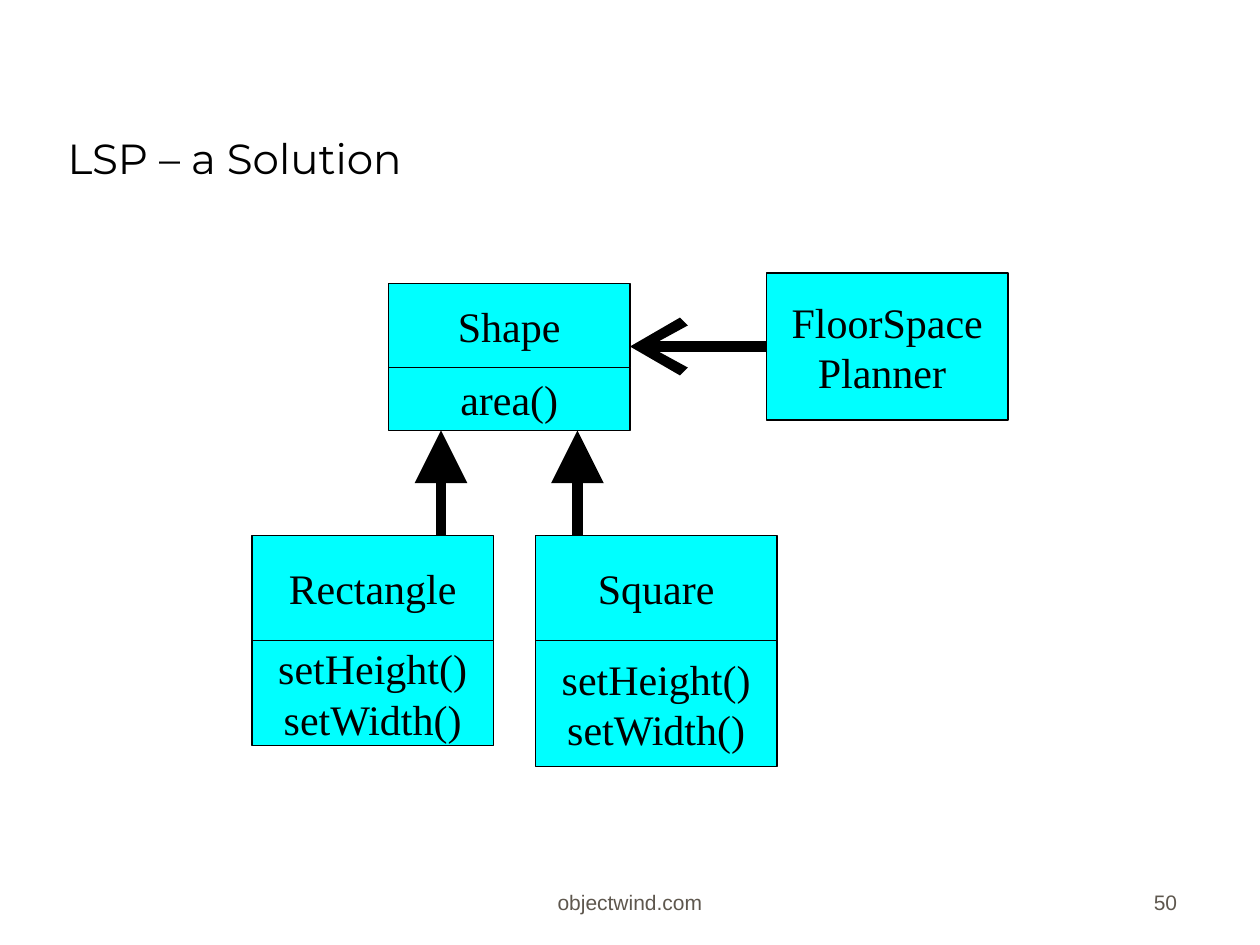
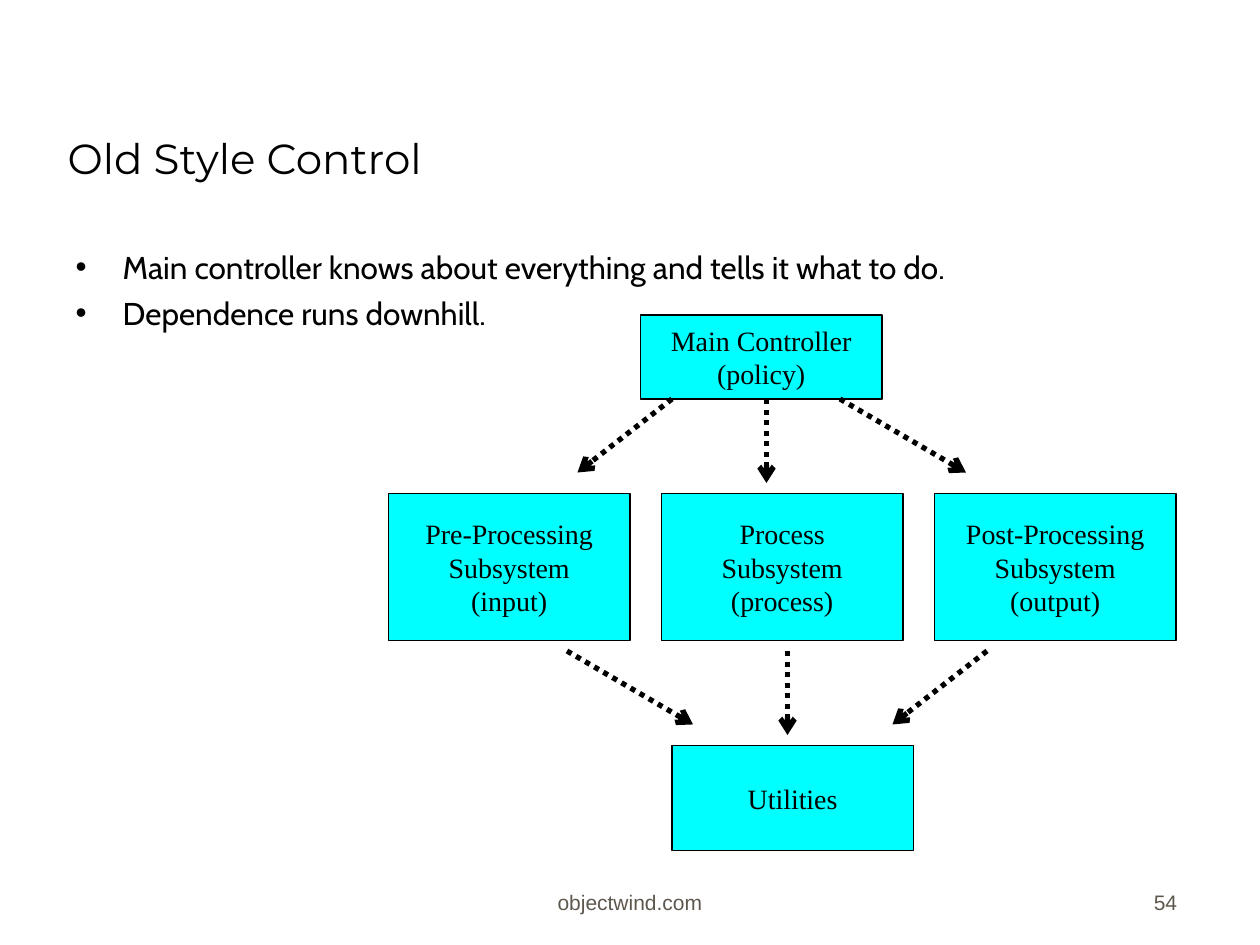
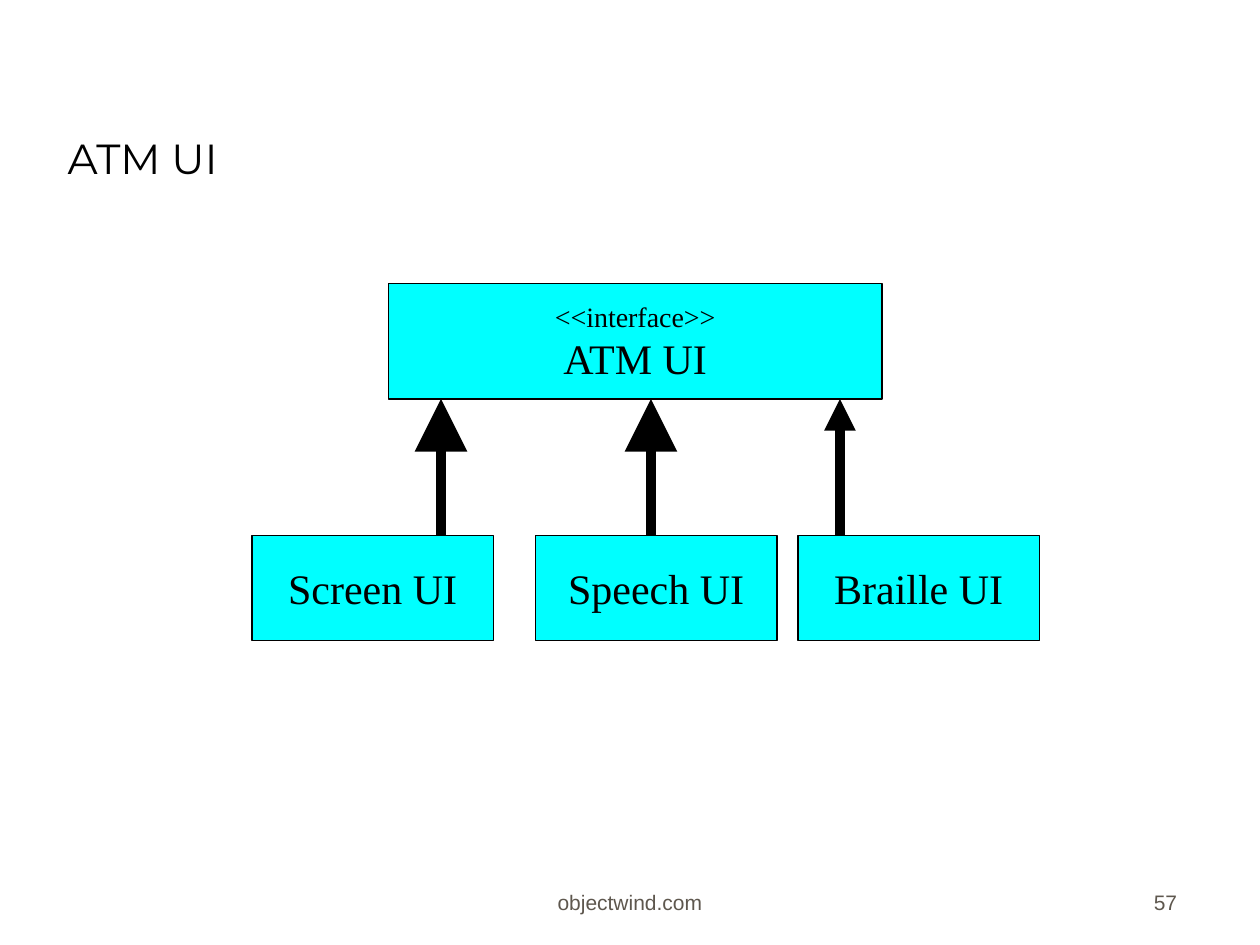
import pptx
import pptx.util
import pptx.dml.color
import pptx.enum.dml
import pptx.enum.shapes
import pptx.enum.text
import pptx.oxml
import pptx.oxml.ns
from lxml import etree

Cm, Pt = pptx.util.Cm, pptx.util.Pt
PP_ALIGN = pptx.enum.text.PP_ALIGN
ANCHOR = pptx.enum.text.MSO_ANCHOR
qn = pptx.oxml.ns.qn

BLACK, CYAN, FOOTER_GREY = "000000", "00FFFF", "5E574E"
TITLE_FONT, BODY_FONT, BOX_FONT, FOOTER_FONT = "Montserrat", "Cabin", "Times New Roman", "Arial"
BOX_WIDTH = 23


def grid(n):
    """Length of n diagram units, twelve to the inch."""
    return Cm(n * 2.54 / 12)


def rgb(hex_color):
    return pptx.dml.color.RGBColor.from_string(hex_color)


def format_paragraph(p, font, size, color=BLACK, align=PP_ALIGN.LEFT):
    p.alignment = align
    for r in p.runs:
        r.font.name = font
        r.font.size = Pt(size)
        r.font.color.rgb = rgb(color)


def place(shape, left, top, width, height):
    shape.left, shape.top, shape.width, shape.height = left, top, width, height


def add_title(s, text):
    title = s.shapes.title
    place(title, Cm(1.11), Cm(0.64), Cm(21.59), Cm(3.18))
    tf = title.text_frame
    tf.text = text
    tf.auto_size = pptx.enum.text.MSO_AUTO_SIZE.NONE
    tf.vertical_anchor = ANCHOR.BOTTOM
    format_paragraph(tf.paragraphs[0], TITLE_FONT, 24)


def add_bullets(s, items):
    body = s.placeholders[1]
    place(body, Cm(1.27), Cm(4.87), Cm(22.7), Cm(3.68))
    tf = body.text_frame
    tf.text = "\n".join(items)
    tf.auto_size = pptx.enum.text.MSO_AUTO_SIZE.NONE
    for i, p in enumerate(tf.paragraphs):
        pPr = p._p.get_or_add_pPr()
        pPr.set("marL", str(Cm(0.95)))
        pPr.set("indent", str(-Cm(0.95)))
        color = etree.SubElement(pPr, qn("a:buClr"))
        etree.SubElement(color, qn("a:srgbClr"), val=BLACK)
        etree.SubElement(pPr, qn("a:buFont"), typeface="Arial")
        etree.SubElement(pPr, qn("a:buChar"), char="•")
        p.space_before = Pt(4.5 if i else 0)
        format_paragraph(p, BODY_FONT, 18)


def add_footer(s, number, top=Cm(17.3)):
    for text, left, width, align in (
        ("objectwind.com", Cm(8.68), Cm(8.04), PP_ALIGN.CENTER),
        (str(number), Cm(18.69), Cm(5.29), PP_ALIGN.RIGHT),
    ):
        tf = s.shapes.add_textbox(left, top, width, Cm(1.27)).text_frame
        tf.word_wrap = True
        tf.vertical_anchor = ANCHOR.BOTTOM
        tf.text = text
        format_paragraph(tf.paragraphs[0], FOOTER_FONT, 12, FOOTER_GREY, align)


def add_slide(prs, title, number, layout=5):
    s = prs.slides.add_slide(prs.slide_layouts[layout])
    add_title(s, title)
    add_footer(s, number)
    return s


def add_box(s, x, y, height, lines, size=24, width=BOX_WIDTH):
    box = s.shapes.add_shape(pptx.enum.shapes.MSO_SHAPE.RECTANGLE,
                             grid(x), grid(y), grid(width), grid(height))
    box.shadow.inherit = False
    box.fill.solid()
    box.fill.fore_color.rgb = rgb(CYAN)
    box.line.color.rgb = rgb(BLACK)
    box.line.width = Pt(0.75)
    tf = box.text_frame
    tf.word_wrap = False
    tf.vertical_anchor = ANCHOR.MIDDLE
    tf.text = "\n".join(lines)
    for p in tf.paragraphs:
        format_paragraph(p, BOX_FONT, size, align=PP_ALIGN.CENTER)
    return box


def add_class(s, x, y, name, name_height, methods, methods_height):
    """UML class: a name box with a methods box below it."""
    add_box(s, x, y, name_height, [name])
    add_box(s, x, y + name_height, methods_height, methods)


def add_arrow(s, x1, y1, x2, y2, head="triangle", head_size="lg", width=6, dotted=False):
    arrow = s.shapes.add_connector(pptx.enum.shapes.MSO_CONNECTOR.STRAIGHT,
                                   grid(x1), grid(y1), grid(x2), grid(y2))
    arrow.line.color.rgb = rgb(BLACK)
    arrow.line.width = Pt(width)
    if dotted:
        arrow.line.dash_style = pptx.enum.dml.MSO_LINE.ROUND_DOT
    spPr = arrow.element.spPr
    etree.SubElement(spPr.find(qn("a:ln")), qn("a:tailEnd"),
                     type=head, w=head_size, len=head_size)
    etree.SubElement(spPr, qn("a:effectLst"))
    return arrow


def class_diagram(s, x, y):
    setters = ["setHeight()", "setWidth()"]
    add_class(s, x + 13, y + 1, "Shape", 8, ["area()"], 6)
    add_class(s, x, y + 25, "Rectangle", 10, setters, 10)
    add_class(s, x + 27, y + 25, "Square", 10, setters, 12)
    planner = add_box(s, x + 49, y, 14, ["FloorSpace", "Planner "])
    uses = add_arrow(s, x + 49, y + 7, x + 36, y + 7, head="arrow")
    uses.begin_connect(planner, 1)
    for dx in (18, 31):
        add_arrow(s, x + dx, y + 25, x + dx, y + 15)


def control_diagram(s, x, y):
    add_box(s, x + 24, y, 8, ["Main Controller", "(policy)"], 16)
    subsystems = (("Pre-Processing", "input"), ("Process", "process"), ("Post-Processing", "output"))
    for i, (name, role) in enumerate(subsystems):
        add_box(s, x + 26 * i, y + 17, 14, [name, "Subsystem", f"({role})"], 16)
    add_box(s, x + 27, y + 41, 10, ["Utilities"], 16)
    for start, end, top, drop in (
        (27, 18, 8, 7), (36, 36, 8, 8), (43, 55, 8, 7),
        (57, 48, 32, 7), (17, 29, 32, 7), (38, 38, 32, 8),
    ):
        add_arrow(s, x + start, y + top, x + end, y + top + drop,
                  head="arrow", head_size="med", width=3, dotted=True)


def interface_diagram(s, x, y):
    interface = add_box(s, x + 13, y, 11, ["<<interface>>", "ATM UI"], width=47)
    interface.text_frame.paragraphs[0].runs[0].font.size = Pt(16)
    for name, box_x, arrow_x, head_size in (
        ("Screen UI", 0, 18, "lg"), ("Speech UI", 27, 38, "lg"), ("Braille UI", 52, 56, "med"),
    ):
        add_box(s, x + box_x, y + 24, 10, [name])
        add_arrow(s, x + arrow_x, y + 24, x + arrow_x, y + 11, head_size=head_size)


def main():
    prs = pptx.Presentation()
    prs.slide_width, prs.slide_height = Cm(25.4), Cm(19.05)

    class_diagram(add_slide(prs, "LSP – a Solution", 50), 24, 26)

    s = add_slide(prs, "Old Style Control", 54, layout=1)
    add_bullets(s, ["Main controller knows about everything and tells it what to do.",
                    "Dependence runs downhill."])
    control_diagram(s, 37, 30)

    interface_diagram(add_slide(prs, "ATM UI", 57), 24, 27)
    prs.save("out.pptx")


if __name__ == "__main__":
    main()
